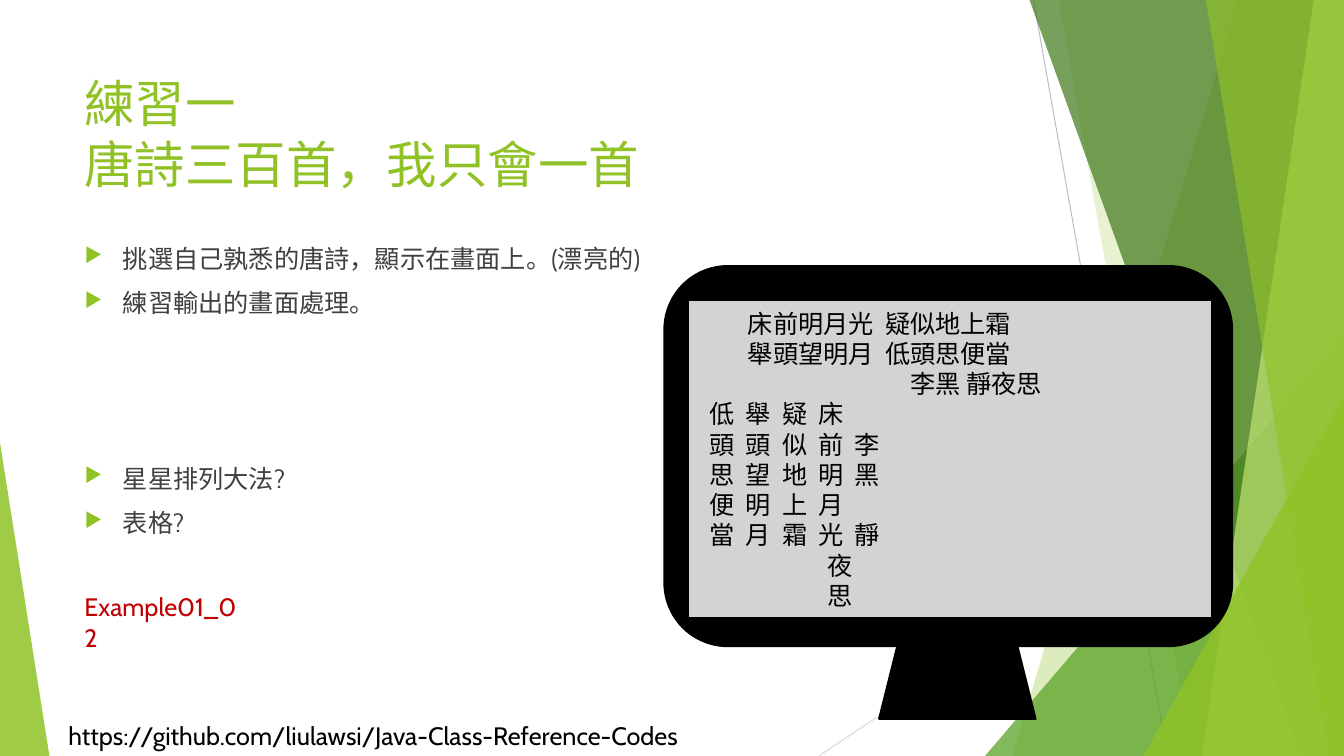
from lxml import etree
from pptx import Presentation
from pptx.dml.color import RGBColor
from pptx.enum.shapes import MSO_CONNECTOR, MSO_SHAPE
from pptx.enum.text import MSO_ANCHOR, PP_ALIGN
from pptx.oxml.ns import qn
from pptx.util import Inches, Pt

STRAIGHT = MSO_CONNECTOR.STRAIGHT
TRIANGLE = MSO_SHAPE.RIGHT_TRIANGLE
SLOPE = MSO_SHAPE.ISOSCELES_TRIANGLE
RECTANGLE = MSO_SHAPE.RECTANGLE
ROUNDED = MSO_SHAPE.ROUNDED_RECTANGLE
TRAPEZOID = MSO_SHAPE.TRAPEZOID
TOP, MIDDLE = MSO_ANCHOR.TOP, MSO_ANCHOR.MIDDLE
LEFT = PP_ALIGN.LEFT

LIME = RGBColor(0x90, 0xC2, 0x26)
GREEN = RGBColor(0x54, 0xA0, 0x21)
DARK_GREEN = RGBColor(0x3F, 0x78, 0x19)
PALE_GREEN = RGBColor(0xC0, 0xE4, 0x74)
GRAY = RGBColor(0xBF, 0xBF, 0xBF)
LIGHT_GRAY = RGBColor(0xD9, 0xD9, 0xD9)
SCREEN_GRAY = RGBColor(0xD3, 0xD3, 0xD3)
TEXT_GRAY = RGBColor(0x40, 0x40, 0x40)
BLACK = RGBColor(0, 0, 0)
RED = RGBColor(0xC0, 0, 0)

FONT = "Cabin"
WIDTH, HEIGHT = Inches(13.33), Inches(7.5)

# Bands reach the right edge: top x, bottom x, colour, opacity
BACK_BANDS = [(92.12, 75.32, LIME, 30), (78.77, 88.75, LIME, 20)]
FRONT_BANDS = [(76.6, 96.85, DARK_GREEN, 70), (97.75, 89.42, PALE_GREEN, 70),
               (89.72, 98.87, LIME, 65)]

# Bullet text and the space before it in points
BULLETS = [("挑選自己孰悉的唐詩，顯示在畫面上。(漂亮的)", 0),
           ("練習輸出的畫面處理。", 10),
           ("星星排列大法?", 104),
           ("表格?", 10)]

# Tab stops in inches from the text edge
COUPLET_STOPS = [0.5, 1.86]
SIGNATURE_STOPS = [2.11]
COLUMN_STOPS = [0.12 + 0.36 * column for column in range(5)]
TAIL_STOPS = [1.29]
POEM = [("床前明月光 疑似地上霜", COUPLET_STOPS),
        ("舉頭望明月 低頭思便當", COUPLET_STOPS),
        ("李黑 靜夜思", SIGNATURE_STOPS),
        ("低 舉 疑 床", COLUMN_STOPS),
        ("頭 頭 似 前 李", COLUMN_STOPS),
        ("思 望 地 明 黑", COLUMN_STOPS),
        ("便 明 上 月", COLUMN_STOPS),
        ("當 月 霜 光 靜", COLUMN_STOPS),
        ("夜", TAIL_STOPS),
        ("思", TAIL_STOPS)]


def across(share):
    """Percent of the slide width."""
    return int(WIDTH * share / 100)


def down(share):
    """Percent of the slide height."""
    return int(HEIGHT * share / 100)


def place(left, top, width, height):
    return across(left), down(top), across(width), down(height)


def paint(shape, color, opacity=100, outline=None):
    shape.shadow.inherit = False
    shape.fill.solid()
    shape.fill.fore_color.rgb = color
    if opacity < 100:
        color_element = shape.fill._xPr.find(".//" + qn("a:srgbClr"))
        etree.SubElement(color_element, qn("a:alpha"), val=str(opacity * 1000))
    if outline is None:
        shape.line.fill.background()
    else:
        shape.line.color.rgb = outline
        shape.line.width = Pt(1.5)


def add_line(slide, start, end, color):
    line = slide.shapes.add_connector(STRAIGHT, across(start[0]), down(start[1]),
                                      across(end[0]), down(end[1]))
    line.line.color.rgb = color
    line.line.width = Pt(0.75)
    etree.SubElement(line._element.spPr, qn("a:effectLst"))


def add_band(slide, top_x, bottom_x, color, opacity):
    builder = slide.shapes.build_freeform(across(top_x), 0)
    builder.add_line_segments([(WIDTH, 0), (WIDTH, HEIGHT),
                               (across(bottom_x), HEIGHT)])
    paint(builder.convert_to_shape(), color, opacity)


def add_figure(slide, kind, box, color, opacity=100, outline=None):
    shape = slide.shapes.add_shape(kind, *place(*box))
    paint(shape, color, opacity, outline)
    return shape


def add_corner(slide, box, color, opacity):
    add_figure(slide, SLOPE, box, color, opacity).adjustments[0] = 1


def style(paragraph, size, color):
    paragraph.alignment = LEFT
    for run in paragraph.runs:
        run.font.name = FONT
        run.font.size = Pt(size)
        run.font.color.rgb = color


def add_text(slide, box, text, size, color, wrap=True):
    frame = slide.shapes.add_textbox(*place(*box)).text_frame
    frame.word_wrap = wrap
    frame.vertical_anchor = TOP
    frame.text = text
    style(frame.paragraphs[0], size, color)


def next_paragraph(frame, index):
    return frame.add_paragraph() if index else frame.paragraphs[0]


def add_bullets(slide, box, items):
    frame = slide.shapes.add_textbox(*place(*box)).text_frame
    frame.word_wrap = True
    for index, (text, space) in enumerate(items):
        paragraph = next_paragraph(frame, index)
        paragraph.text = text
        paragraph.space_before = Pt(space)
        properties = paragraph._p.get_or_add_pPr()
        properties.set("marL", str(Inches(0.38)))
        properties.set("indent", str(-Inches(0.38)))
        bullet_color = etree.SubElement(properties, qn("a:buClr"))
        etree.SubElement(bullet_color, qn("a:srgbClr"), val=str(LIME))
        etree.SubElement(properties, qn("a:buSzPct"), val="80000")
        etree.SubElement(properties, qn("a:buChar"), char="▶")
        style(paragraph, 18, TEXT_GRAY)


def write_poem(frame, lines):
    frame.word_wrap = True
    frame.vertical_anchor = MIDDLE
    for index, (text, stops) in enumerate(lines):
        paragraph = next_paragraph(frame, index)
        separator = " " if stops is SIGNATURE_STOPS else "\t"
        paragraph.text = "\t" + text.replace(" ", separator)
        properties = paragraph._p.get_or_add_pPr()
        tabs = etree.SubElement(properties, qn("a:tabLst"))
        for stop in stops:
            etree.SubElement(tabs, qn("a:tab"), pos=str(Inches(stop)), algn="l")
        style(paragraph, 18, BLACK)


def add_backdrop(slide):
    add_line(slide, (76.9, 0), (86.87, 100), GRAY)
    add_line(slide, (100, 53.73), (60.92, 100), LIGHT_GRAY)
    for band in BACK_BANDS:
        add_band(slide, *band)
    add_corner(slide, (73.29, 44.4, 26.71, 55.6), GREEN, 72)
    for band in FRONT_BANDS:
        add_band(slide, *band)
    add_corner(slide, (85.07, 52.4, 14.93, 47.6), LIME, 80)
    add_figure(slide, TRIANGLE, (0, 58.53, 3.68, 41.47), LIME, 85)


def add_monitor(slide):
    add_figure(slide, ROUNDED, (49.44, 35.2, 42.24, 50.27), BLACK, outline=BLACK)
    screen = add_figure(slide, RECTANGLE, (51.16, 39.73, 39.01, 42),
                        SCREEN_GRAY, outline=BLACK)
    write_poem(screen.text_frame, POEM)
    add_figure(slide, TRAPEZOID, (65.42, 85.47, 11.63, 9.6), BLACK, outline=BLACK)


def main():
    presentation = Presentation()
    presentation.slide_width, presentation.slide_height = WIDTH, HEIGHT
    slide = presentation.slides.add_slide(presentation.slide_layouts[6])

    add_backdrop(slide)

    # Source link, title and tasks
    add_text(slide, (4.35, 94.67, 50.26, 5.33),
             "https://github.com/liulawsi/Java-Class-Reference-Codes",
             18, BLACK, wrap=False)
    add_text(slide, (5.55, 8.93, 70.52, 19.2),
             "練習一\v唐詩三百首，我只會一首", 36, LIME)
    add_bullets(slide, (5.55, 31.47, 70.52, 56.53), BULLETS)

    add_monitor(slide)

    # Example name
    add_text(slide, (5.55, 77.6, 13.13, 5.33), "Example01_02", 18, RED)

    presentation.save("out.pptx")


if __name__ == "__main__":
    main()
